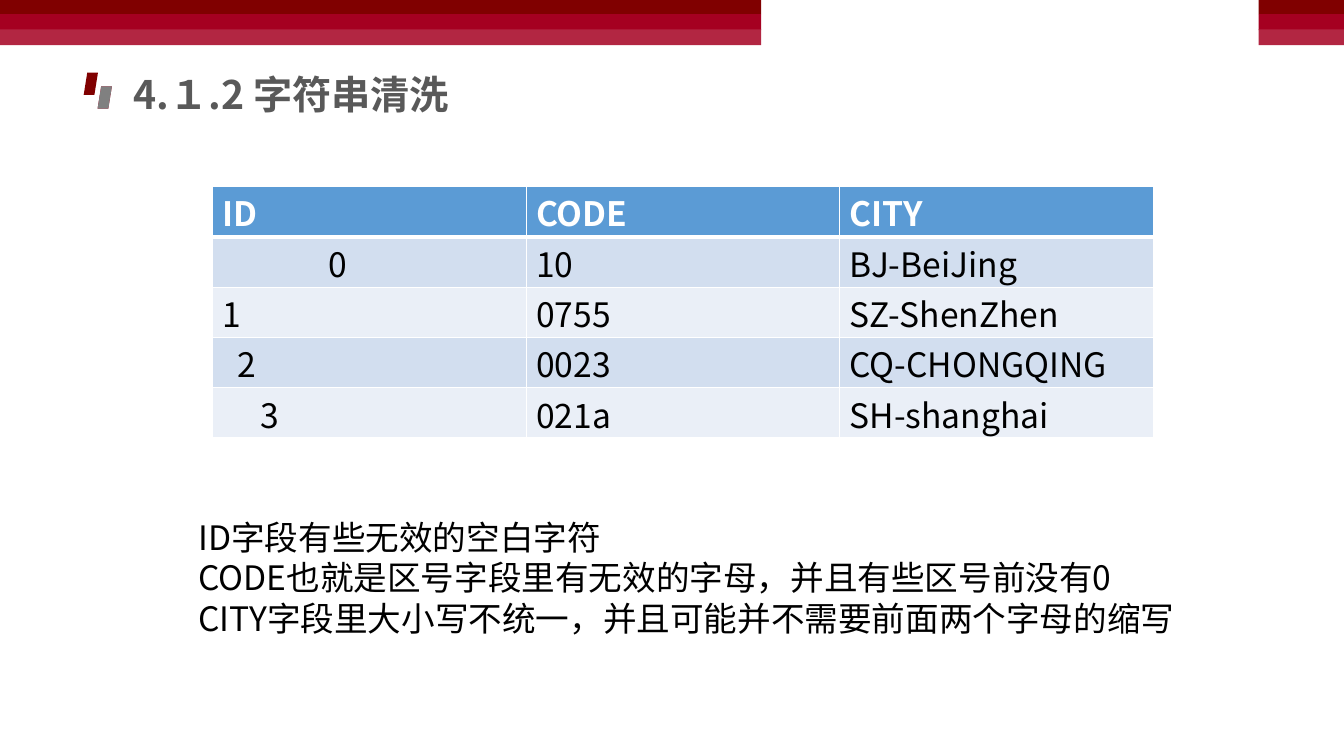
from dataclasses import dataclass
from itertools import product

from lxml import etree
from pptx import Presentation
from pptx import util as u
from pptx.dml.color import RGBColor
from pptx.enum import shapes, text
from pptx.oxml.ns import qn


@dataclass(frozen=True)
class Theme:
    font: str = "Noto Sans CJK SC"
    title_size: int = 28
    body_size: int = 24
    line_pitch: float = 1.2
    dark_red: str = "800000"
    red: str = "A50021"
    light_red: str = "B22642"
    grey: str = "808080"
    title: str = "595959"
    ink: str = "000000"
    white: str = "FFFFFF"
    header: str = "5B9BD5"
    stripes: tuple[str, str] = ("D2DEEF", "EAEFF7")


@dataclass(frozen=True)
class Block:
    """A filled area, in centimetres."""
    left: float
    top: float
    width: float
    height: float
    color: str
    preset: shapes.MSO_SHAPE = shapes.MSO_SHAPE.RECTANGLE


@dataclass(frozen=True)
class Passage:
    """A text box, in centimetres, with one paragraph per line."""
    left: float
    top: float
    width: float
    height: float
    lines: tuple[str, ...]
    size: int
    color: str
    bold: bool = False
    indent: float = 0


@dataclass(frozen=True)
class City:
    blanks: int  # blank characters in front of the ID
    id: str
    code: str
    name: str


THEME = Theme()
SLIDE_WIDTH, SLIDE_HEIGHT = 33.87, 19.05
BANNER_SPANS = ((0, 19.18), (31.72, 2.15))
BANNER_BANDS = ((0, 0.36, THEME.dark_red), (0.36, 0.4, THEME.red), (0.74, 0.4, THEME.light_red))
BANNER = [Block(left, top, width, height, color)
          for (left, width), (top, height, color) in product(BANNER_SPANS, BANNER_BANDS)]
TITLE_MARKS = [Block(left, top, 0.36, 0.56, color, shapes.MSO_SHAPE.PARALLELOGRAM)
               for left, top, color in ((2.11, 1.83, THEME.dark_red),
                                        (2.46, 2.18, THEME.red),
                                        (2.46, 2.18, THEME.grey))]
TITLE = Passage(3.12, 1.65, 9.65, 1.45, ("4.１.2 字符串清洗",),
                THEME.title_size, THEME.title, bold=True)
PROBLEMS = Passage(4.39, 12.9, 25.78, 3.33, (
    "ID字段有些无效的空白字符",
    "CODE也就是区号字段里有无效的字母，并且有些区号前没有0",
    "CITY字段里大小写不统一，并且可能并不需要前面两个字母的缩写",
), THEME.body_size, THEME.ink, indent=0.36)

HEADINGS = City(0, "ID", "CODE", "CITY")
CITIES = (
    City(14, "0", "10", "BJ-BeiJing"),
    City(0, "1", "0755", "SZ-ShenZhen"),
    City(2, "2", "0023", "CQ-CHONGQING"),
    City(5, "3", "021a", "SH-shanghai"),
)
TABLE_LEFT, TABLE_TOP, COLUMN_WIDTH = 5.36, 4.7, 7.9
HEADER_HEIGHT, CITY_HEIGHT = 1.27, 1.07
CELL_MARGIN, BLANK_WIDTH = 0.25, 0.19
THIN, THICK = 1, 3


def apply_format(target: object, values: dict[str, object]) -> None:
    for name, value in values.items():
        setattr(target, name, value)


def write(paragraph, words: str, size: int, color: str, bold: bool) -> None:
    paragraph.line_spacing = u.Pt(size * THEME.line_pitch)
    run = paragraph.add_run()
    run.text = words
    apply_format(run.font, {"name": THEME.font, "size": u.Pt(size), "bold": bold})
    run.font.color.rgb = RGBColor.from_string(color)
    east_asian = etree.SubElement(run.font._element, qn("a:ea"))
    east_asian.set("typeface", THEME.font)


def draw_block(slide, block: Block) -> None:
    shape = slide.shapes.add_shape(block.preset, u.Cm(block.left), u.Cm(block.top),
                                   u.Cm(block.width), u.Cm(block.height))
    shape.shadow.inherit = False
    shape.fill.solid()
    shape.fill.fore_color.rgb = RGBColor.from_string(block.color)
    shape.line.fill.background()


def draw_passage(slide, passage: Passage) -> None:
    frame = slide.shapes.add_textbox(u.Cm(passage.left), u.Cm(passage.top),
                                     u.Cm(passage.width), u.Cm(passage.height)).text_frame
    apply_format(frame, {"word_wrap": True, "auto_size": text.MSO_AUTO_SIZE.SHAPE_TO_FIT_TEXT})
    for number, line in enumerate(passage.lines):
        paragraph = frame.add_paragraph() if number else frame.paragraphs[0]
        write(paragraph, line, passage.size, passage.color, passage.bold)
        if passage.indent:
            paragraph._p.get_or_add_pPr().set("indent", str(u.Cm(passage.indent)))


def draw_borders(cell, top: float, bottom: float) -> None:
    properties = cell._tc.get_or_add_tcPr()
    widths = {"a:lnL": THIN, "a:lnR": THIN, "a:lnT": top, "a:lnB": bottom}
    for position, (side, width) in enumerate(widths.items()):
        border = etree.Element(qn(side), w=str(u.Pt(width)))
        fill = etree.SubElement(border, qn("a:solidFill"))
        etree.SubElement(fill, qn("a:srgbClr"), val=THEME.white)
        properties.insert(position, border)


def draw_cities(slide) -> None:
    rows = (HEADINGS, *CITIES)
    table = slide.shapes.add_table(
        len(rows), 3, u.Cm(TABLE_LEFT), u.Cm(TABLE_TOP), u.Cm(3 * COLUMN_WIDTH),
        u.Cm(HEADER_HEIGHT + len(CITIES) * CITY_HEIGHT)).table
    for column in table.columns:
        column.width = u.Cm(COLUMN_WIDTH)
    for row, city in enumerate(rows):
        is_header = row == 0
        table.rows[row].height = u.Cm(HEADER_HEIGHT if is_header else CITY_HEIGHT)
        background = THEME.header if is_header else THEME.stripes[(row - 1) % 2]
        for column, words in enumerate((city.id, city.code, city.name)):
            blanks = 0 if column else city.blanks
            cell = table.cell(row, column)
            apply_format(cell, {
                "margin_left": u.Cm(CELL_MARGIN + blanks * BLANK_WIDTH),
                "margin_top": u.Cm(CELL_MARGIN),
                "margin_bottom": 0,
            })
            write(cell.text_frame.paragraphs[0], words, THEME.body_size,
                  THEME.white if is_header else THEME.ink, is_header)
            cell.fill.solid()
            cell.fill.fore_color.rgb = RGBColor.from_string(background)
            draw_borders(cell, THICK if row == 1 else THIN, THICK if is_header else THIN)


def main() -> None:
    deck = Presentation()
    apply_format(deck, {"slide_width": u.Cm(SLIDE_WIDTH), "slide_height": u.Cm(SLIDE_HEIGHT)})
    slide = deck.slides.add_slide(deck.slide_layouts[6])
    for block in BANNER + TITLE_MARKS:
        draw_block(slide, block)
    draw_passage(slide, TITLE)
    draw_cities(slide)
    draw_passage(slide, PROBLEMS)
    deck.save("out.pptx")


if __name__ == "__main__":
    main()
